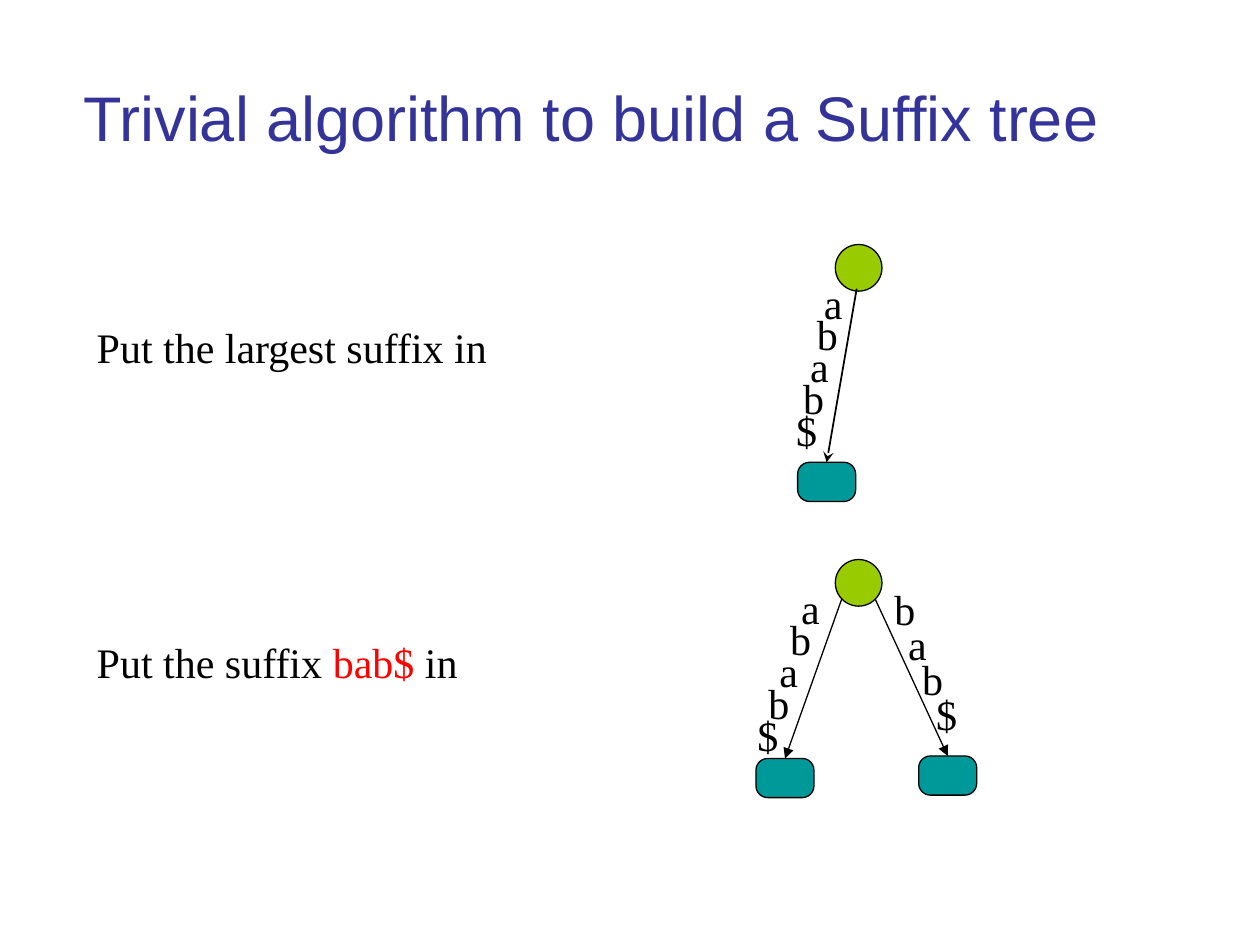
"""Build the slide on the trivial algorithm for a suffix tree."""
from lxml.etree import SubElement
from pptx import Presentation
from pptx.dml.color import RGBColor
from pptx.enum.shapes import MSO_CONNECTOR as Connector, MSO_SHAPE as Shape
from pptx.enum.text import MSO_ANCHOR as Anchor, MSO_AUTO_SIZE as AutoSize, PP_ALIGN as Align
from pptx.oxml.ns import qn
from pptx.util import Cm, Pt

BLACK = RGBColor(0x00, 0x00, 0x00)
RED = RGBColor(0xFF, 0x00, 0x00)
INDIGO = RGBColor(0x33, 0x33, 0x99)
GREEN = RGBColor(0x99, 0xCC, 0x00)
TEAL = RGBColor(0x00, 0x99, 0x99)

BODY = {"name": "Times New Roman", "size": Pt(24)}
HEADING = {"name": "Arial", "size": Pt(36)}


def add_text(left, top, width, spans):
    box = slide.shapes.add_textbox(Cm(left), Cm(top), Cm(width), Cm(1.27))
    box.text_frame.word_wrap = True
    para = box.text_frame.paragraphs[0]
    for text, color in spans:
        span = para.add_run()
        span.text = text
        span.font.color.rgb = color
        for key, value in BODY.items():
            setattr(span.font, key, value)


def add_node(kind, left, top, width, height, color):
    node = slide.shapes.add_shape(kind, Cm(left), Cm(top), Cm(width), Cm(height))
    node.shadow.inherit = False
    node.fill.solid()
    node.fill.fore_color.rgb = color
    node.line.color.rgb = BLACK
    node.line.width = Pt(0.75)
    return node


deck = Presentation()
deck.slide_width, deck.slide_height = Cm(25.4), Cm(19.05)
slide = deck.slides.add_slide(deck.slide_layouts[5])

title = slide.shapes.title
title.left, title.top, title.width, title.height = Cm(1.27), Cm(0.76), Cm(22.86), Cm(3.18)
frame = title.text_frame
frame.text = "Trivial algorithm to build a Suffix tree"
frame.auto_size = AutoSize.NONE
frame.vertical_anchor = Anchor.MIDDLE
frame.margin_right = Cm(1.82)
heading = frame.paragraphs[0]
heading.alignment = Align.CENTER
heading.font.color.rgb = INDIGO
for key, value in HEADING.items():
    setattr(heading.font, key, value)

steps = [
    (6.35, [("Put the largest suffix in", BLACK)]),
    (12.7, [("Put the suffix ", BLACK), ("bab$", RED), (" in", BLACK)]),
]
for top, spans in steps:
    add_text(1.7, top, 9.73, spans)

for root_top in (4.93, 11.28):
    add_node(Shape.OVAL, 16.84, root_top, 0.94, 0.94, GREEN)

branches = [
    ("abab$", (17.27, 5.82), (16.08, 9.32), (16.36, 5.46), (-0.14, 0.64), 1, "stealth"),
    ("abab$", (16.97, 12.07), (15.24, 15.29), (15.9, 11.61), (-0.22, 0.64), 0.75, "triangle"),
    ("bab$", (17.65, 12.09), (18.52, 15.24), (17.78, 11.63), (0.28, 0.71), 0.75, "triangle"),
]
for suffix, start, leaf_corner, first_letter, stride, weight, arrowhead in branches:
    leaf = add_node(Shape.ROUNDED_RECTANGLE, *leaf_corner, 1.17, 0.79, TEAL)
    leaf.adjustments[0] = 0.3

    edge = slide.shapes.add_connector(
        Connector.STRAIGHT, Cm(start[0]), Cm(start[1]), Cm(start[0]), Cm(leaf_corner[1]))
    edge.end_connect(leaf, 0)
    edge.line.color.rgb = BLACK
    edge.line.width = Pt(weight)
    SubElement(edge.line._get_or_add_ln(), qn("a:tailEnd"), type=arrowhead)
    SubElement(edge._element.spPr, qn("a:effectLst"))

    for index, letter in enumerate(suffix):
        left, top = (origin + index * step for origin, step in zip(first_letter, stride))
        add_text(left, top, 1.07, [(letter, BLACK)])

deck.save("out.pptx")
